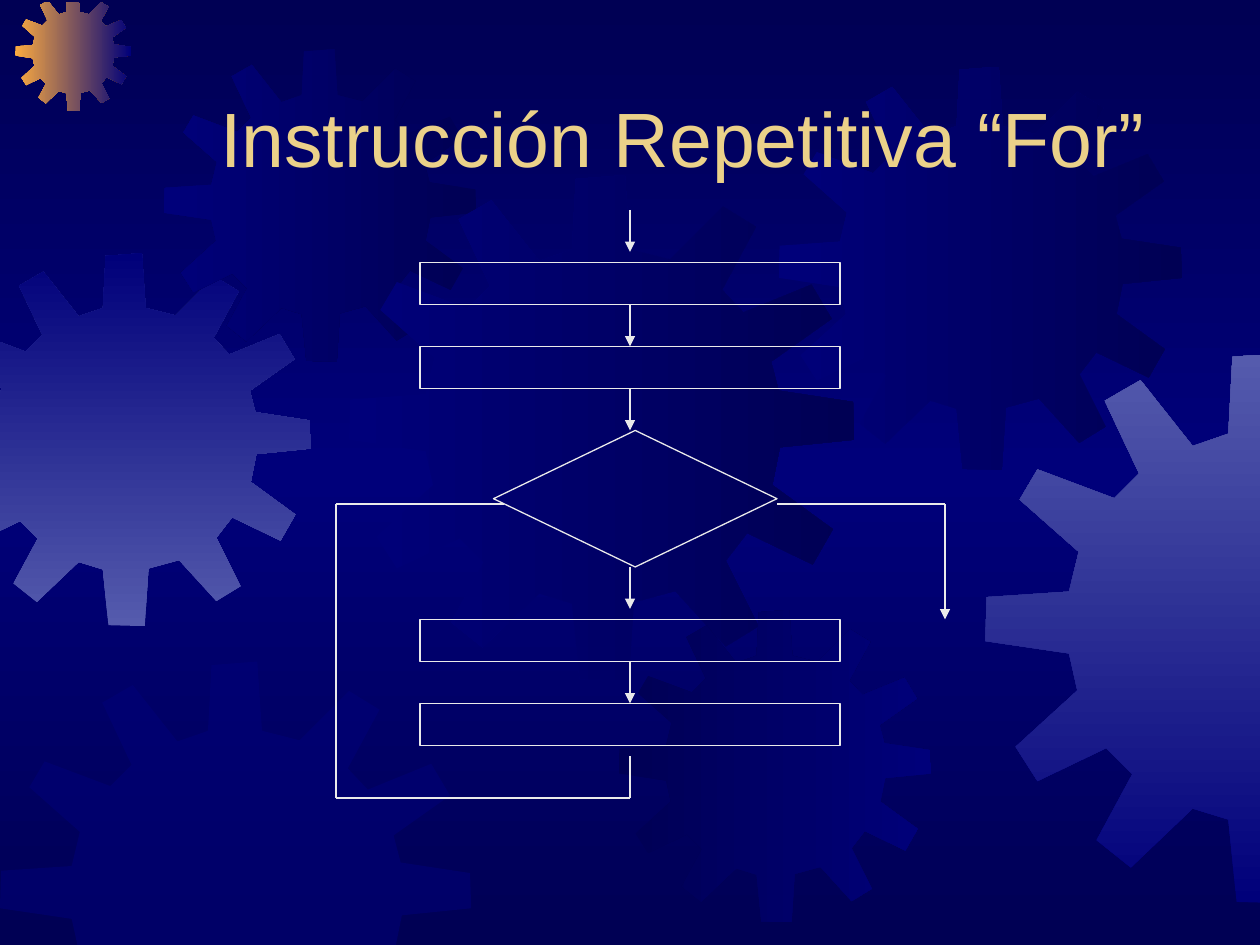
"""Build a slide with the flowchart of a for loop over a background of gears."""
from copy import deepcopy

from lxml import etree
from pptx import Presentation
from pptx.dml.color import RGBColor
from pptx.enum.shapes import MSO_CONNECTOR, MSO_SHAPE
from pptx.enum.text import MSO_ANCHOR, MSO_AUTO_SIZE, PP_ALIGN
from pptx.oxml.ns import qn
from pptx.util import Inches, Pt

STRAIGHT = MSO_CONNECTOR.STRAIGHT
RECTANGLE, DECISION = MSO_SHAPE.RECTANGLE, MSO_SHAPE.FLOWCHART_DECISION
BOTTOM, NO_FIT, CENTER = MSO_ANCHOR.BOTTOM, MSO_AUTO_SIZE.NONE, PP_ALIGN.CENTER

WIDTH, HEIGHT = 10, 7.5
TITLE = "Instrucción Repetitiva “For”"
TITLE_AREA = (1.17, 0.58, 8.5, 0.92)
NAVY, BLUE, LILAC, ORANGE = "000054", "00007A", "555BAD", "FCAB40"
GOLD, PALE = "EBD189", "EAEAEA"

GEAR_SIZE = 4.01
GEAR_OUTLINE = [
    (2.55, 0.67), (2.23, 0.59), (2.19, 0), (1.8, 0.03), (1.77, 0.59), (1.51, 0.68),
    (1.13, 0.2), (0.87, 0.35), (1.12, 0.88), (0.94, 1.06), (0.38, 0.85), (0.25, 1.07),
    (0.68, 1.45), (0.61, 1.74), (0.01, 1.78), (0, 2.1), (0.61, 2.19), (0.67, 2.46),
    (0.22, 2.87), (0.38, 3.12), (0.88, 2.88), (1.07, 3.07), (0.81, 3.55), (1.06, 3.75),
    (1.51, 3.32), (1.77, 3.4), (1.83, 4), (2.22, 4.01), (2.26, 3.39), (2.59, 3.3),
    (2.99, 3.74), (3.25, 3.58), (2.99, 3.06), (3.16, 2.84), (3.68, 3.09), (3.84, 2.81),
    (3.36, 2.46), (3.42, 2.16), (4.01, 2.1), (4, 1.8), (3.41, 1.71), (3.35, 1.48),
    (3.83, 1.14), (3.67, 0.87), (3.13, 1.09), (2.96, 0.91), (3.23, 0.41), (2.97, 0.25),
]
# left, top, size, gradient colours, clockwise angle
GEARS = [
    (-0.49, 2.01, 2.96, (LILAC, BLUE), 270),
    (0.12, -0.04, 0.92, (ORANGE, BLUE), 0),
    (1.3, 0.39, 2.48, (NAVY, BLUE), 180),
    (2.77, 1.39, 4.01, (BLUE, NAVY), 0),
    (0, 5.25, 3.74, (BLUE,), 0),
    (4.91, 4.84, 2.48, (NAVY, BLUE), 0),
    (6.18, 0.53, 3.2, (BLUE, NAVY), 0),
    (7.82, 2.8, 4.37, (BLUE, LILAC), 270),
]
# axis, limit, side to keep
CLIP_EDGES = [(0, -0.01, 1), (0, 10.01, -1), (1, 0.02, 1), (1, 7.54, -1)]

# The flowchart lies on a grid of twelve cells to the inch.
CELL = 1 / 12
MIDDLE, BOX_LEFT, BOX_WIDTH, BOX_HEIGHT = 60, 40, 40, 4
BOX_TOPS = [25, 33, 59, 67]
DECISION_AREA = (47, 41, 27, 13)
ARROW_TOPS, ARROW_LENGTH = [20, 29, 37, 54, 63], 4
LOOP_ROUTE = [(MIDDLE, 72), (MIDDLE, 76), (32, 76), (32, 48), (48, 48)]
EXIT_ROUTE = [(74, 48), (90, 48), (90, 59)]


def color(value):
    return RGBColor.from_string(value)


def cells(*values):
    return [Inches(value * CELL) for value in values]


def paint_gradient(fill, colors, angle):
    fill.gradient()
    fill.gradient_angle = (360 - angle) % 360
    last = fill.gradient_stops[-1]._gs
    for _ in colors[2:]:
        last.addprevious(deepcopy(last))
    for index, (stop, value) in enumerate(zip(fill.gradient_stops, colors)):
        stop.position = index / (len(colors) - 1)
        stop.color.rgb = color(value)


def clip(points, axis, limit, side):
    kept = []
    for start, end in zip(points[-1:] + points[:-1], points):
        start_inside = (start[axis] - limit) * side >= 0
        end_inside = (end[axis] - limit) * side >= 0
        if start_inside != end_inside:
            share = (limit - start[axis]) / (end[axis] - start[axis])
            kept.append(tuple(a + share * (b - a) for a, b in zip(start, end)))
        if end_inside:
            kept.append(end)
    return kept


def add_gear(page, left, top, size, colors, angle):
    scale = size / GEAR_SIZE
    points = [(left + x * scale, top + y * scale) for x, y in GEAR_OUTLINE]
    for edge in CLIP_EDGES:
        points = clip(points, *edge)
    points = [(Inches(x), Inches(y)) for x, y in points]
    builder = page.shapes.build_freeform(*points[0])
    builder.add_line_segments(points[1:], close=True)
    gear = builder.convert_to_shape()
    gear.shadow.inherit = False
    gear.line.fill.background()
    if len(colors) > 1:
        paint_gradient(gear.fill, colors, angle)
    else:
        gear.fill.solid()
        gear.fill.fore_color.rgb = color(colors[0])
        tone = gear._element.spPr.find(".//" + qn("a:srgbClr"))
        etree.SubElement(tone, qn("a:alpha"), val="50000")


def style_line(line):
    line.color.rgb = color(PALE)
    line.width = Pt(0.75)


def add_box(page, kind, *area):
    box = page.shapes.add_shape(kind, *cells(*area))
    box.shadow.inherit = False
    box.fill.background()
    style_line(box.line)


def add_route(page, points, arrow):
    for index, (start, end) in enumerate(zip(points, points[1:]), 2):
        connector = page.shapes.add_connector(STRAIGHT, *cells(*start, *end))
        style_line(connector.line)
        properties = connector._element.spPr
        if arrow and index == len(points):
            etree.SubElement(properties.find(qn("a:ln")), qn("a:tailEnd"), type="triangle")
        etree.SubElement(properties, qn("a:effectLst"))


def place_title(page):
    title = page.shapes.title
    title.left, title.top, title.width, title.height = map(Inches, TITLE_AREA)
    frame = title.text_frame
    frame.text = TITLE
    frame.auto_size = NO_FIT
    frame.vertical_anchor = BOTTOM
    para = frame.paragraphs[0]
    para.alignment = CENTER
    para.font.name, para.font.size = "Arial", Pt(44)
    para.font.color.rgb = color(GOLD)
    page.shapes._spTree.append(title._element)


def main():
    deck = Presentation()
    deck.slide_width, deck.slide_height = Inches(WIDTH), Inches(HEIGHT)
    page = deck.slides.add_slide(deck.slide_layouts[5])
    paint_gradient(page.background.fill, (NAVY, BLUE, NAVY), 90)
    for gear in GEARS:
        add_gear(page, *gear)
    place_title(page)
    for top in BOX_TOPS:
        add_box(page, RECTANGLE, BOX_LEFT, top, BOX_WIDTH, BOX_HEIGHT)
    add_box(page, DECISION, *DECISION_AREA)
    for top in ARROW_TOPS:
        add_route(page, [(MIDDLE, top), (MIDDLE, top + ARROW_LENGTH)], arrow=True)
    add_route(page, LOOP_ROUTE, arrow=False)
    add_route(page, EXIT_ROUTE, arrow=True)
    deck.save("out.pptx")


if __name__ == "__main__":
    main()
